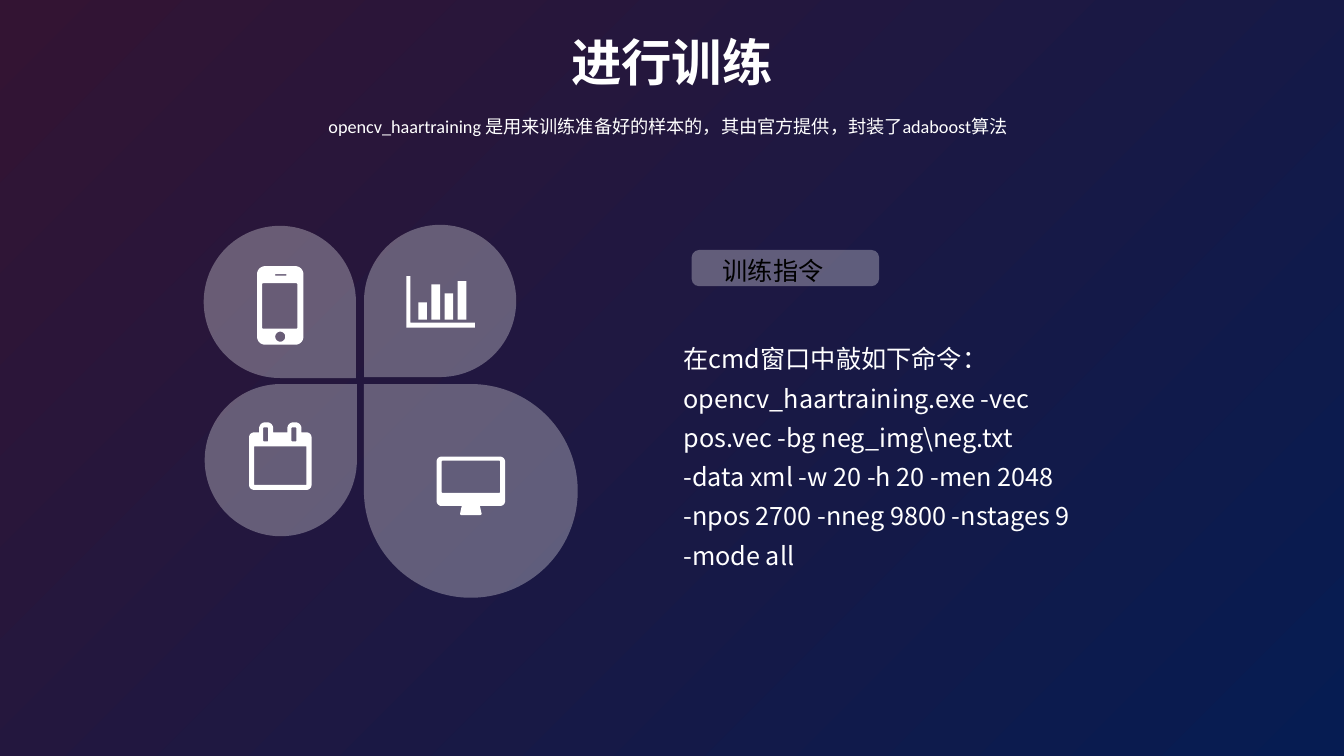
from lxml import etree
from pptx import Presentation
from pptx import util as u
from pptx.dml.color import RGBColor
from pptx.enum import shapes, text
from pptx.oxml.ns import qn

COLORS = {"white": "FFFFFF", "black": "000000", "plum": "331433", "navy": "061C52"}
LATIN, CHINESE = "Calibri", "Noto Sans CJK SC"
PETAL_OPACITY = 30


def color(name):
    return RGBColor.from_string(COLORS[name])


def paint(shape, opacity=100):
    shape.shadow.inherit = False
    shape.fill.solid()
    shape.fill.fore_color.rgb = color("white")
    shape.line.fill.background()
    if opacity < 100:
        tint = shape.fill._xPr.find(qn("a:solidFill"))[0]
        etree.SubElement(tint, qn("a:alpha"), val=str(opacity * 1000))


def write(shape, lines, size, font, ink="white", align=text.PP_ALIGN.LEFT,
          bold=False, spacing=None):
    frame = shape.text_frame
    frame.word_wrap = True
    frame.auto_size = text.MSO_AUTO_SIZE.NONE
    frame.vertical_anchor = text.MSO_ANCHOR.TOP
    for index, line in enumerate(lines):
        para = frame.add_paragraph() if index else frame.paragraphs[0]
        para.alignment = align
        para.line_spacing = spacing
        span = para.add_run()
        span.text = line
        span.font.size = u.Pt(size)
        span.font.bold = bold
        span.font.name = font
        span.font.color.rgb = color(ink)
        etree.SubElement(span.font._element, qn("a:ea"), typeface=CHINESE)


def place(shape, left, top, width, height):
    shape.left, shape.top = u.Inches(left), u.Inches(top)
    shape.width, shape.height = u.Inches(width), u.Inches(height)


def text_box(page, left, top, width, height):
    return page.shapes.add_textbox(*map(u.Inches, (left, top, width, height)))


# Icon outlines: every corner is (x, y, radius)
def smooth_outline(corners, steps=8):
    points = []
    for i, (x, y, radius) in enumerate(corners):
        if not radius:
            points.append((x, y))
            continue
        ends = []
        for nx, ny, _ in (corners[i - 1], corners[(i + 1) % len(corners)]):
            reach = radius / (abs(nx - x) + abs(ny - y))
            ends.append((x + (nx - x) * reach, y + (ny - y) * reach))
        (ax, ay), (bx, by) = ends
        pull = 0.55
        c1 = (ax + (x - ax) * pull, ay + (y - ay) * pull)
        c2 = (bx + (x - bx) * pull, by + (y - by) * pull)
        for k in range(steps + 1):
            t = k / steps
            weights = ((1 - t) ** 3, 3 * t * (1 - t) ** 2, 3 * t * t * (1 - t), t ** 3)
            points.append(tuple(sum(w * p[axis] for w, p in
                                    zip(weights, ((ax, ay), c1, c2, (bx, by))))
                                for axis in (0, 1)))
    return points


def rect(x, y, width, height, radius=0):
    return [(x, y, radius), (x + width, y, radius),
            (x + width, y + height, radius), (x, y + height, radius)]


def phone():
    return [rect(0, 0, 0.46, 0.78, 0.08), rect(0.05, 0.17, 0.35, 0.45, 0.01),
            rect(0.18, 0.08, 0.11, 0.015), rect(0.18, 0.65, 0.1, 0.1, 0.05)]


def bar_chart():
    axes = [(0, 0, 0), (0.04, 0, 0), (0.04, 0.46, 0), (0.68, 0.46, 0),
            (0.68, 0.51, 0), (0, 0.51, 0)]
    tops = (0.26, 0.08, 0.17, 0.05)
    return [axes] + [rect(0.12 + 0.13 * i, top, 0.085, 0.43 - top)
                     for i, top in enumerate(tops)]


def calendar():
    outline = [(0, 0.1, 0.05)]
    for ring in (0.1, 0.38):
        outline += [(ring, 0.1, 0), (ring, 0, 0.06), (ring + 0.14, 0, 0.06),
                    (ring + 0.14, 0.1, 0)]
    outline += [(0.62, 0.1, 0.05), (0.62, 0.67, 0.05), (0, 0.67, 0.05)]
    holes = [rect(ring + 0.04, 0.05, 0.05, 0.14, 0.01) for ring in (0.1, 0.38)]
    return [outline, rect(0.05, 0.24, 0.52, 0.38)] + holes


def monitor():
    outline = [(0, 0, 0.05), (0.68, 0, 0.05), (0.68, 0.49, 0.05), (0.43, 0.49, 0),
               (0.45, 0.58, 0.02), (0.23, 0.58, 0.02), (0.25, 0.49, 0), (0, 0.49, 0.05)]
    return [outline, rect(0.05, 0.04, 0.58, 0.32, 0.01)]


def draw_icon(page, left, top, contours):
    builder = None
    for contour in contours:
        points = [(u.Inches(left + x), u.Inches(top + y))
                  for x, y in smooth_outline(contour)]
        if builder is None:
            builder = page.shapes.build_freeform(*points[0])
        else:
            builder.move_to(*points[0])
        builder.add_line_segments(points[1:], close=True)
    paint(builder.convert_to_shape())


# Heading: title and one-line explanation
def heading(page, left, top, width):
    title = page.shapes.title
    place(title, left + 1.9, top, width - 3.8, 0.7)
    write(title, ["进行训练"], 36, LATIN, align=text.PP_ALIGN.CENTER, bold=True)
    subtitle = text_box(page, left, top + 0.83, width, 0.32)
    write(subtitle, ["opencv_haartraining 是用来训练准备好的样本的，其由官方提供，封装了adaboost算法  "],
          13, LATIN, align=text.PP_ALIGN.CENTER)


# Four petals pointing at a shared centre, each with its icon
def petals(page, left, top):
    small, large = 1.51, 2.12
    parts = [  # x, y, size, rotation, icon x, icon y, icon
        (1.59, 1.58, large, 270, 2.31, 2.3, monitor),
        (1.59, 0, small, 180, 2.01, 0.51, bar_chart),
        (0.01, 1.58, small, 0, 0.45, 1.96, calendar),
        (0, 0.01, small, 90, 0.53, 0.41, phone),
    ]
    for x, y, size, rotation, icon_x, icon_y, icon in parts:
        petal = page.shapes.add_shape(
            shapes.MSO_SHAPE.TEAR,
            *map(u.Inches, (left + x, top + y, size, size)))
        petal.rotation = rotation
        paint(petal, PETAL_OPACITY)
        draw_icon(page, left + icon_x, top + icon_y, icon())


# Label and training command
def command(page, left, top, width):
    pill = page.shapes.add_shape(
        shapes.MSO_SHAPE.ROUNDED_RECTANGLE,
        *map(u.Inches, (left + 0.18, top, 1.86, 0.36)))
    pill.adjustments[0] = 0.21
    paint(pill, PETAL_OPACITY)
    write(text_box(page, left + 0.39, top, 1.67, 0.3), ["训练指令"], 18, CHINESE, "black")
    write(text_box(page, left, top + 0.79, width, 2.83),
          ["在cmd窗口中敲如下命令：",
           "opencv_haartraining.exe -vec pos.vec -bg neg_img\\neg.txt -data xml "
           "-w 20 -h 20 -men 2048 -npos 2700 -nneg 9800 -nstages 9 -mode all"],
          18, CHINESE, spacing=1.3)


deck = Presentation()
deck.slide_width, deck.slide_height = u.Inches(13.33), u.Inches(7.5)
page = deck.slides.add_slide(deck.slide_layouts[5])

# Diagonal background
backdrop = page.background.fill
backdrop.gradient()
backdrop.gradient_angle = 315
for stop, name in zip(backdrop.gradient_stops, ("plum", "navy")):
    stop.color.rgb = color(name)

heading(page, 0.68, 0.26, 11.97)
petals(page, 2.02, 2.23)
command(page, 6.68, 2.48, 4.12)
deck.save("out.pptx")
